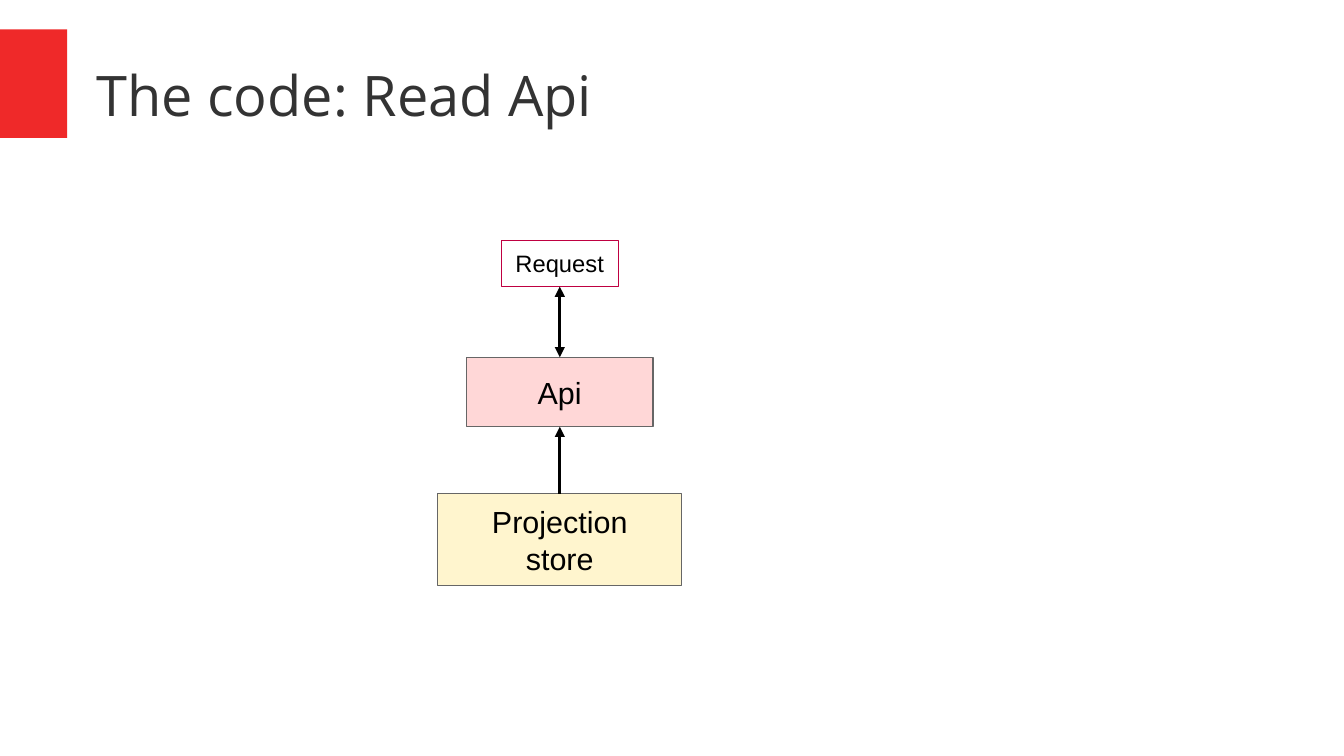
from dataclasses import dataclass

from lxml import etree
from pptx import Presentation
from pptx.dml.color import RGBColor
from pptx.enum.shapes import MSO_CONNECTOR, MSO_SHAPE
from pptx.enum.text import MSO_ANCHOR, PP_ALIGN
from pptx.oxml.ns import qn
from pptx.shapes.autoshape import Shape
from pptx.slide import Slide
from pptx.text.text import TextFrame
from pptx.util import Inches, Pt

RECTANGLE = MSO_SHAPE.RECTANGLE
STRAIGHT = MSO_CONNECTOR.STRAIGHT
MIDDLE = MSO_ANCHOR.MIDDLE
LEFT, CENTER = PP_ALIGN.LEFT, PP_ALIGN.CENTER

RED = RGBColor(0xEF, 0x29, 0x29)
PINK = RGBColor(0xFF, 0xD7, 0xD7)
CREAM = RGBColor(0xFF, 0xF5, 0xCE)
CRIMSON = RGBColor(0xBF, 0x00, 0x41)
GRAY = RGBColor(0x66, 0x66, 0x66)
DARK = RGBColor(0x33, 0x33, 0x33)
BLACK = RGBColor(0x00, 0x00, 0x00)

HAIRLINE = Pt(0)
AXIS = 4.59  # shared centre of the diagram, in inches
TOP_SITE, BOTTOM_SITE = 0, 2


@dataclass(frozen=True)
class Node:
    lines: tuple[str, ...]
    top: float
    width: float
    height: float
    size: int
    border: RGBColor
    fill: RGBColor | None = None


REQUEST = Node(("Request",), 1.97, 0.96, 0.38, 14, CRIMSON)
API = Node(("Api",), 2.93, 1.53, 0.57, 18, GRAY, PINK)
STORE = Node(("Projection", "store"), 4.05, 2.0, 0.75, 18, GRAY, CREAM)


def write(frame: TextFrame, lines: tuple[str, ...], font: str, size: int,
          color: RGBColor, align: PP_ALIGN) -> None:
    frame.vertical_anchor = MIDDLE
    paragraph = frame.paragraphs[0]
    paragraph.alignment = align
    for index, line in enumerate(lines):
        if index:
            paragraph.add_line_break()
        run = paragraph.add_run()
        run.text = line
        run.font.name = font
        run.font.size = Pt(size)
        run.font.color.rgb = color


def add_node(slide: Slide, node: Node) -> Shape:
    box = slide.shapes.add_shape(
        RECTANGLE, Inches(AXIS - node.width / 2), Inches(node.top),
        Inches(node.width), Inches(node.height))
    box.shadow.inherit = False
    if node.fill is None:
        box.fill.background()
    else:
        box.fill.solid()
        box.fill.fore_color.rgb = node.fill
    box.line.color.rgb = node.border
    box.line.width = HAIRLINE
    box.text_frame.word_wrap = False
    write(box.text_frame, node.lines, "Arial", node.size, BLACK, CENTER)
    return box


def add_arrow(slide: Slide, start: Shape, start_site: int, end: Shape,
              end_site: int, arrowheads: tuple[str, ...]) -> None:
    arrow = slide.shapes.add_connector(STRAIGHT, 0, 0, 0, 0)
    arrow.begin_connect(start, start_site)
    arrow.end_connect(end, end_site)
    arrow.line.color.rgb = BLACK
    arrow.line.width = HAIRLINE
    outline = arrow.line._get_or_add_ln()
    for arrowhead in arrowheads:
        etree.SubElement(outline, qn(arrowhead), type="triangle")
    etree.SubElement(arrow._element.spPr, qn("a:effectLst"))


presentation = Presentation()
presentation.slide_width = Inches(11.02)
presentation.slide_height = Inches(6.2)
slide = presentation.slides.add_slide(presentation.slide_layouts[6])

# Red marker at the left edge
marker = slide.shapes.add_shape(
    RECTANGLE, 0, Inches(0.24), Inches(0.55), Inches(0.89))
marker.shadow.inherit = False
marker.fill.solid()
marker.fill.fore_color.rgb = RED
marker.line.fill.background()

# Title
title = slide.shapes.add_textbox(
    Inches(0.79), Inches(0.25), Inches(9.68), Inches(1.04)).text_frame
title.word_wrap = True
title.margin_left = title.margin_right = 0
title.margin_top = title.margin_bottom = 0
write(title, ("The code: Read Api",), "Open Sans", 33, DARK, LEFT)

# Read path, from the request down to the store
request, api, store = (add_node(slide, node) for node in (REQUEST, API, STORE))
add_arrow(slide, request, BOTTOM_SITE, api, TOP_SITE,
          ("a:headEnd", "a:tailEnd"))
add_arrow(slide, store, TOP_SITE, api, BOTTOM_SITE, ("a:tailEnd",))

presentation.save("out.pptx")
